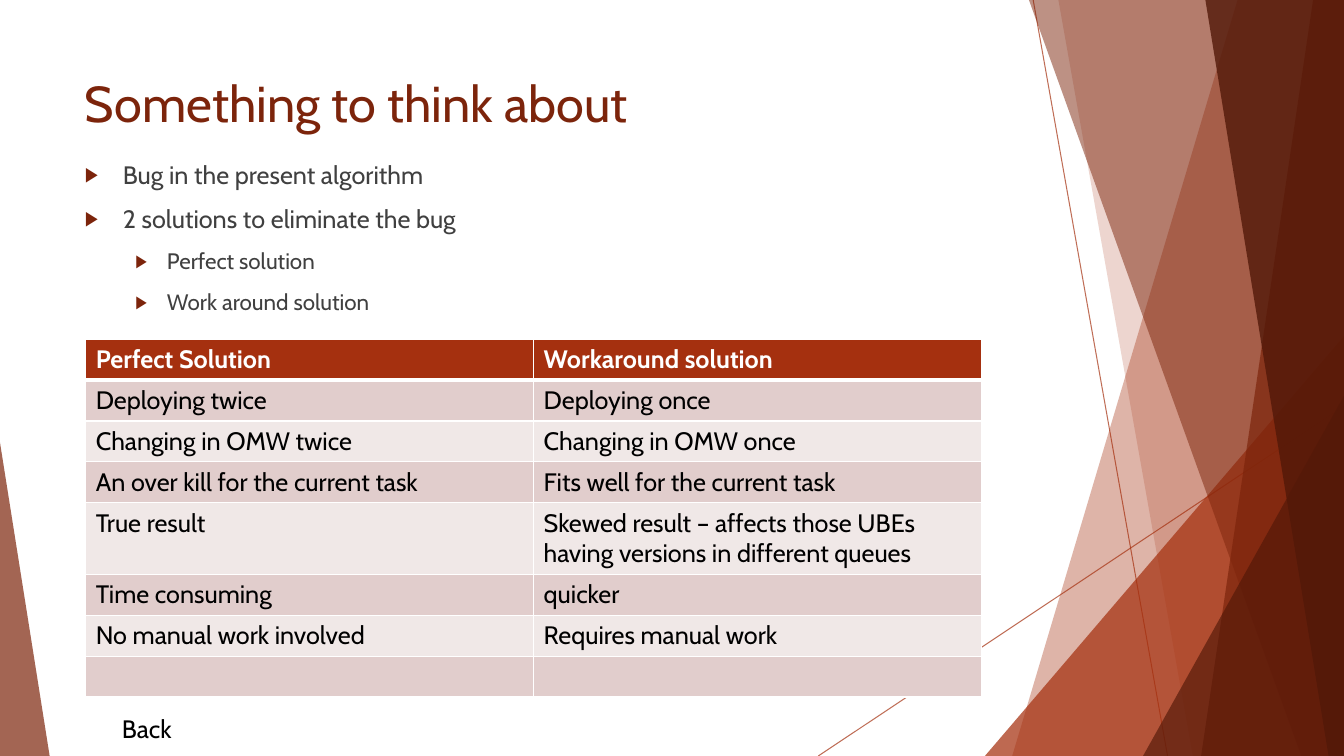
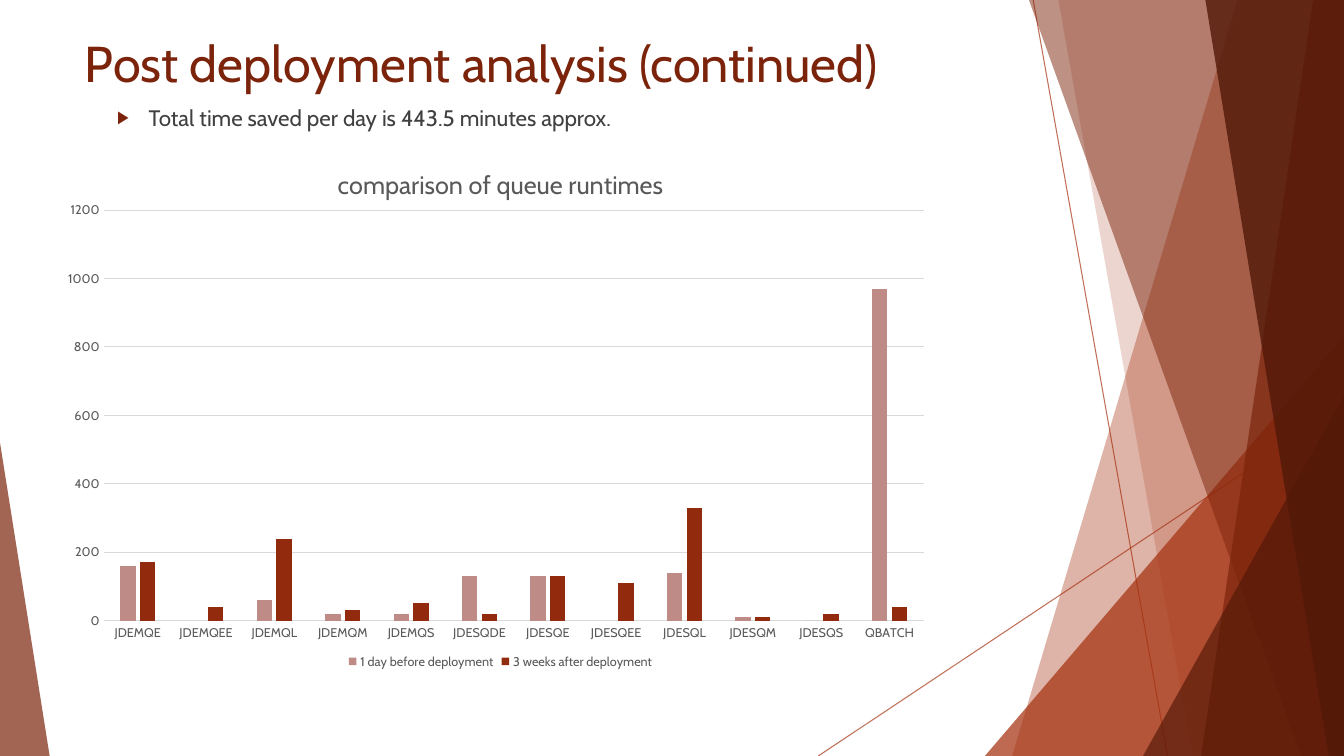
from lxml import etree
from pptx import Presentation
from pptx.chart.data import CategoryChartData
from pptx.dml.color import RGBColor
from pptx.enum.chart import XL_CHART_TYPE, XL_LEGEND_POSITION, XL_TICK_MARK
from pptx.enum.shapes import MSO_CONNECTOR, MSO_SHAPE
from pptx.enum.text import MSO_ANCHOR, MSO_AUTO_SIZE, PP_ALIGN
from pptx.oxml.ns import qn
from pptx.util import Pt

COLUMNS = XL_CHART_TYPE.COLUMN_CLUSTERED
BOTTOM = XL_LEGEND_POSITION.BOTTOM
NO_TICK = XL_TICK_MARK.NONE
STRAIGHT = MSO_CONNECTOR.STRAIGHT
TRIANGLE = MSO_SHAPE.ISOSCELES_TRIANGLE
TOP = MSO_ANCHOR.TOP
NO_FIT = MSO_AUTO_SIZE.NONE
GROW = MSO_AUTO_SIZE.SHAPE_TO_FIT_TEXT
LEFT = PP_ALIGN.LEFT

W, H = 960, 540
FONT = "Cabin"
COLORS = {
    "rust": "A5300F", "brick": "7C240B", "umber": "521808",
    "text": "404040", "black": "000000", "white": "FFFFFF",
    "band_dark": "E1CDCC", "band_light": "F0E8E7",
    "axis": "595959", "grid": "D9D9D9",
    "before": "BF8B87", "after": "922B0D",
}
# Per list level: text size, left indent, hanging indent
LEVELS = [(18, 27, 27), (16, 58.5, 22.5)]

SOLUTIONS = [
    ("Perfect Solution", "Workaround solution"),
    ("Deploying twice", "Deploying once"),
    ("Changing in OMW twice", "Changing in OMW once"),
    ("An over kill for the current task", "Fits well for the current task"),
    ("True result", "Skewed result – affects those UBEs having versions in different queues"),
    ("Time consuming", "quicker"),
    ("No manual work involved", "Requires manual work"),
    ("", ""),
]
QUEUES = ["JDEMQE", "JDEMQEE", "JDEMQL", "JDEMQM", "JDEMQS", "JDESQDE",
          "JDESQE", "JDESQEE", "JDESQL", "JDESQM", "JDESQS", "QBATCH"]
RUNTIMES = [
    ("1 day before deployment", "before",
     [160, None, 60, 20, 20, 130, 130, None, 140, 10, 0, 970]),
    ("3 weeks after deployment", "after",
     [170, 40, 240, 30, 50, 20, 130, 110, 330, 10, 20, 40]),
]


def rgb(name):
    return RGBColor.from_string(COLORS[name])


def sub(parent, tag, **attrs):
    return etree.SubElement(parent, qn(tag), {k: str(v) for k, v in attrs.items()})


class Deck:
    def __init__(self):
        self.prs = Presentation()
        self.prs.slide_width, self.prs.slide_height = Pt(W), Pt(H)
        self.layout = self.prs.slide_layouts[1]
        self.s = None

    def slide(self, title, top):
        first = self.s is None
        self.s = self.prs.slides.add_slide(self.layout)
        if first:
            self.backdrop()
        tf = self.place(self.s.shapes.title, 53.5, top, 677, 51.5)
        tf.text = title
        tf.paragraphs[0].alignment = LEFT
        self.font(tf.paragraphs[0].runs[0].font, 36, "brick")

    def place(self, sp, x, y, w, h):
        sp.left, sp.top, sp.width, sp.height = Pt(x), Pt(y), Pt(w), Pt(h)
        tf = sp.text_frame
        tf.word_wrap, tf.auto_size, tf.vertical_anchor = True, NO_FIT, TOP
        return tf

    def font(self, font, size, color, bold=False):
        font.name, font.size, font.bold = FONT, Pt(size), bold
        font.color.rgb = rgb(color)

    # Decoration: drawn once, then held by the layout
    def backdrop(self):
        parts = [
            self.line(738, 0, 834, H),
            self.line(W, 290, 584.5, H),
            self.band(884, 723, "rust", 36),
            self.band(756, 852, "rust", 20),
            self.triangle(703.5, 240, 256.5, 1, "rust", 72),
            self.band(735, 929.5, "brick", 50),
            self.band(938, 858, "brick", 70),
            self.band(861, 949, "umber", 80),
            self.triangle(816.5, 283, 143.5, 1, "umber", 66),
            self.triangle(0, 316, 35.5, 0, "brick", 70),
        ]
        for i, sp in enumerate(parts):
            sp.element.xpath(".//p:cNvPr")[0].set("id", str(100 + i))
            self.layout.shapes.element.insert(2 + i, sp.element)

    def opacity(self, sp, percent):
        for color in list(sp.element.spPr.iter(qn("a:srgbClr"))):
            sub(color, "a:alpha", val=percent * 1000)

    def line(self, x1, y1, x2, y2):
        sp = self.s.shapes.add_connector(STRAIGHT, Pt(x1), Pt(y1), Pt(x2), Pt(y2))
        sp.line.color.rgb, sp.line.width = rgb("rust"), Pt(0.75)
        self.opacity(sp, 70)
        sub(sp.element.spPr, "a:effectLst")
        return sp

    def paint(self, sp, color, percent):
        sp.shadow.inherit = False
        sp.fill.solid()
        sp.fill.fore_color.rgb = rgb(color)
        sp.line.fill.background()
        self.opacity(sp, percent)
        return sp

    def band(self, x_top, x_bottom, color, percent):
        """Full-height band from a slanted left edge to the slide's right edge."""
        outline = self.s.shapes.build_freeform(Pt(x_top), 0)
        corners = [(W, 0), (W, H), (x_bottom, H)]
        outline.add_line_segments([(Pt(x), Pt(y)) for x, y in corners], close=True)
        return self.paint(outline.convert_to_shape(), color, percent)

    def triangle(self, x, y, w, apex, color, percent):
        sp = self.s.shapes.add_shape(TRIANGLE, Pt(x), Pt(y), Pt(w), Pt(H - y))
        sp.adjustments[0] = apex
        return self.paint(sp, color, percent)

    # Text
    def bullets(self, items, x, y, w, h):
        tf = self.place(self.s.placeholders[1], x, y, w, h)
        tf.text = "\n".join(text for text, _ in items)
        for p, (_, level) in zip(tf.paragraphs, items):
            size, left, hang = LEVELS[level]
            p.level, p.space_before = level, Pt(10)
            self.font(p.runs[0].font, size, "text")
            pPr = p._p.get_or_add_pPr()
            pPr.set("marL", str(Pt(left)))
            pPr.set("indent", str(-Pt(hang)))
            sub(sub(pPr, "a:buClr"), "a:srgbClr", val=COLORS["brick"])
            sub(pPr, "a:buSzPct", val=80000)
            sub(pPr, "a:buChar", char="▶")

    def label(self, text, x, y, w, h):
        sp = self.s.shapes.add_textbox(Pt(x), Pt(y), Pt(w), Pt(h))
        tf = sp.text_frame
        tf.word_wrap, tf.auto_size = True, GROW
        tf.text = text
        self.font(tf.paragraphs[0].runs[0].font, 18, "black")

    # Table
    def table(self, rows, x, y, w, heights):
        cols = len(rows[0])
        table = self.s.shapes.add_table(
            len(rows), cols, Pt(x), Pt(y), Pt(w), Pt(sum(heights))).table
        table.horz_banding = False
        for col in table.columns:
            col.width = Pt(w / cols)
        for i, (row, height) in enumerate(zip(rows, heights)):
            table.rows[i].height = Pt(height)
            fill = "rust" if i == 0 else ("band_light", "band_dark")[i % 2]
            for j, text in enumerate(row):
                cell = table.cell(i, j)
                self.borders(cell, top=3 if i == 1 else 1, bottom=3 if i == 0 else 1)
                cell.fill.solid()
                cell.fill.fore_color.rgb = rgb(fill)
                cell.text = text
                for r in cell.text_frame.paragraphs[0].runs:
                    self.font(r.font, 18, "black" if i else "white", i == 0)

    def borders(self, cell, top, bottom):
        tcPr = cell._tc.get_or_add_tcPr()
        for side, width in zip("LRTB", (1, 1, top, bottom)):
            ln = sub(tcPr, "a:ln" + side, w=Pt(width))
            sub(sub(ln, "a:solidFill"), "a:srgbClr", val=COLORS["white"])

    # Chart
    def chart(self, title, cats, series, x, y, w, h, plot_box):
        data = CategoryChartData()
        data.categories = cats
        for name, _, values in series:
            data.add_series(name, values)
        chart = self.s.shapes.add_chart(
            COLUMNS, Pt(x), Pt(y), Pt(w), Pt(h), data).chart
        self.font(chart.font, 10, "black")

        chart.has_title = True
        tf = chart.chart_title.text_frame
        tf.text = title
        self.font(tf.paragraphs[0].runs[0].font, 18, "axis")
        chart.has_legend = True
        chart.legend.position, chart.legend.include_in_layout = BOTTOM, False
        self.font(chart.legend.font, 9, "axis")

        plot = chart.plots[0]
        plot.gap_width, plot.overlap, plot.vary_by_categories = 219, -27, False
        for ser, (_, color, _) in zip(plot.series, series):
            ser.invert_if_negative = False
            ser.format.fill.solid()
            ser.format.fill.fore_color.rgb = rgb(color)

        cat, val = chart.category_axis, chart.value_axis
        for axis in (cat, val):
            axis.major_tick_mark = axis.minor_tick_mark = NO_TICK
            self.font(axis.tick_labels.font, 9, "axis")
        val.minimum_scale, val.maximum_scale, val.major_unit = 0, 1200, 200
        val.format.line.fill.background()
        for line in (cat.format.line, val.major_gridlines.format.line):
            line.color.rgb, line.width = rgb("grid"), Pt(0.75)

        # Fixed inner plot area, as fractions of the chart
        area = chart.element.xpath(".//c:plotArea")[0]
        for old in area.findall(qn("c:layout")):
            area.remove(old)
        layout = area.makeelement(qn("c:layout"))
        area.insert(0, layout)
        manual = sub(layout, "c:manualLayout")
        sub(manual, "c:layoutTarget", val="inner")
        for tag in ("c:xMode", "c:yMode"):
            sub(manual, tag, val="edge")
        for tag, value in zip(("c:x", "c:y", "c:w", "c:h"), plot_box):
            sub(manual, tag, val=value)


def main():
    deck = Deck()

    # Comparison of the two solutions
    deck.slide("Something to think about", 48)
    deck.bullets([("Bug in the present algorithm", 0),
                  ("2 solutions to eliminate the bug", 0),
                  ("Perfect solution", 1),
                  ("Work around solution", 1)], 53.5, 110, 677, 366)
    heights = [50.4 if i == 4 else 29.2 for i in range(len(SOLUTIONS))]
    deck.table(SOLUTIONS, 61.2, 242.3, 640, heights)
    deck.label("Back", 80, 506, 55.5, 29)

    # Queue runtimes
    deck.slide("Post deployment analysis (continued)", 19.5)
    deck.bullets([("Total time saved per day is 443.5 minutes approx.", 1)],
                 40.5, 70.5, 699, 405.5)
    deck.chart("comparison of queue runtimes", QUEUES, RUNTIMES,
               42.5, 105, 630, 376, (0.05, 0.12, 0.93, 0.78))

    deck.prs.save("out.pptx")


if __name__ == "__main__":
    main()
